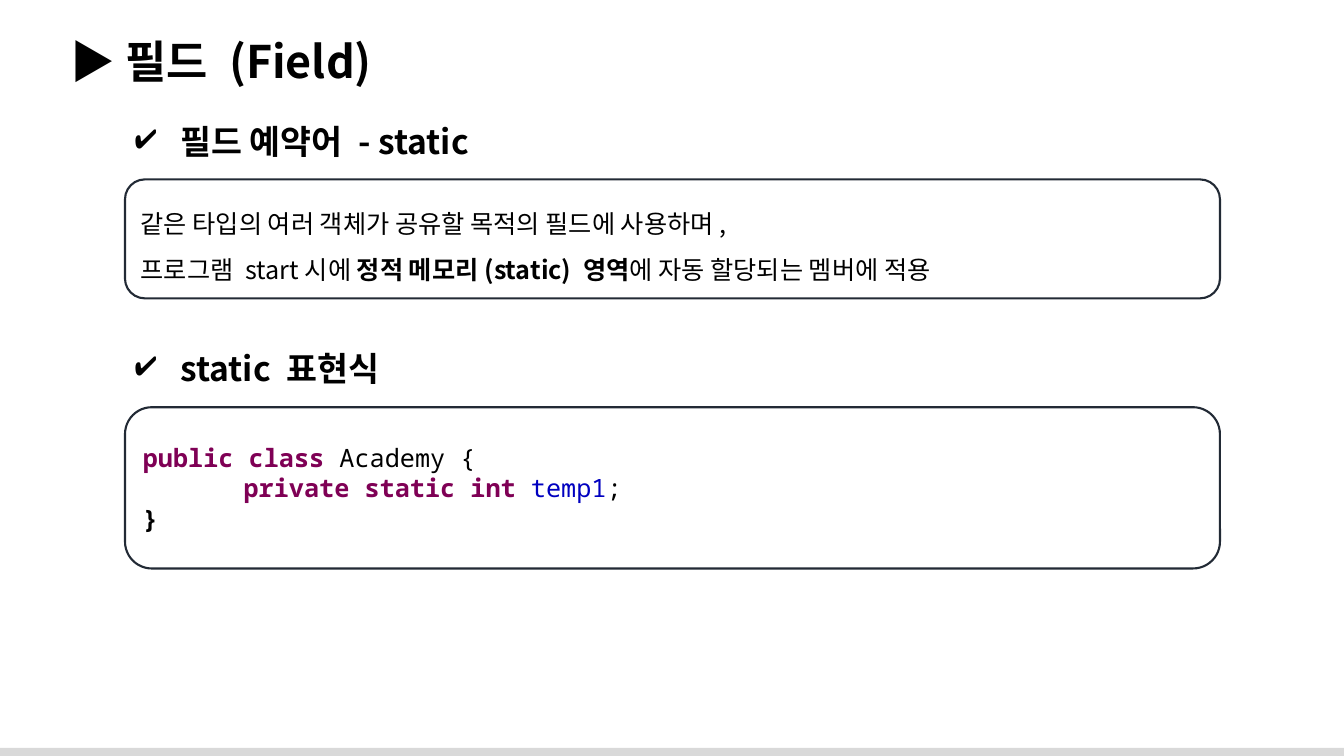
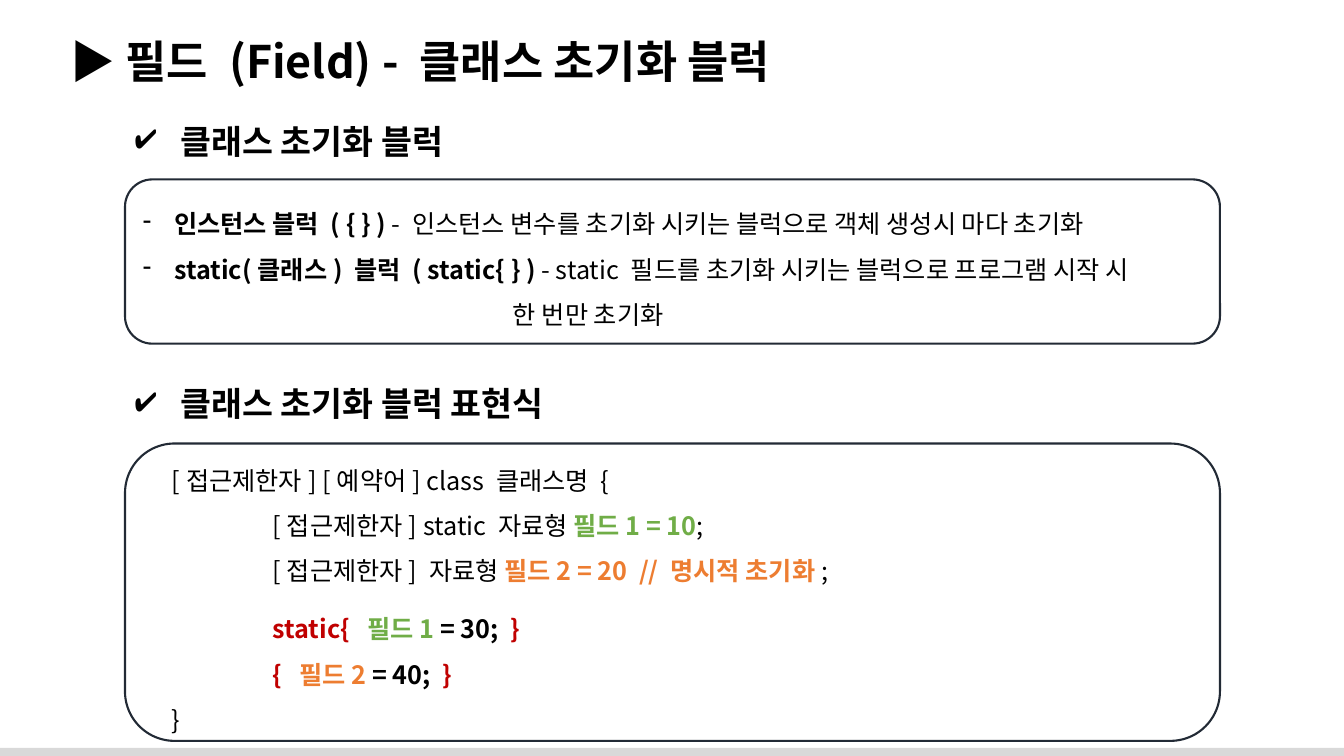
from lxml import etree
from pptx import Presentation
from pptx.dml.color import RGBColor
from pptx.enum.shapes import MSO_SHAPE
from pptx.enum.text import MSO_ANCHOR, MSO_AUTO_SIZE, PP_ALIGN
from pptx.oxml.ns import qn
from pptx.util import Inches, Pt

RECT, ROUND = MSO_SHAPE.RECTANGLE, MSO_SHAPE.ROUNDED_RECTANGLE
TOP, MIDDLE = MSO_ANCHOR.TOP, MSO_ANCHOR.MIDDLE
LEFT, NO_FIT = PP_ALIGN.LEFT, MSO_AUTO_SIZE.NONE

SANS, MONO = "Noto Sans CJK KR", "Noto Sans Mono"
BLACK, BORDER, BAND = "000000", "222A35", "D9D9D9"
KEYWORD, NAME = "7F0055", "0000C0"
GREEN, ORANGE, RED = "70AD47", "ED7D31", "C00000"
BOX_LEFT, BOX_WIDTH = 1.24, 10.86
HEAD_HEIGHT, HEAD_HANG, LIST_HANG = 0.5, 0.45, 0.31
CODE_OUTER, CODE_INNER, CODE_TAB = 0.22, 1.22, 1.0


def para(*runs, margin=0, bullet=None, before=0):
    return {"runs": runs, "margin": margin, "bullet": bullet, "before": before}


SLIDES = [
    {
        "title": "▶ 필드 (Field)",
        "sections": [
            {
                "head": "필드 예약어 - static", "head_top": 1.15,
                "top": 1.78, "height": 1.18, "font": SANS, "spacing": 1.5,
                "body": [
                    para(("같은 타입의 여러 객체가 공유할 목적의 필드에 사용하며,",)),
                    para(("프로그램 start시에 ",),
                         ("정적 메모리(static) 영역", BLACK, True),
                         ("에 자동 할당되는 멤버에 적용",)),
                ],
            },
            {
                "head": "static 표현식", "head_top": 3.4,
                "top": 4.04, "height": 1.6, "font": MONO, "spacing": 1.0,
                "body": [
                    para(("public class ", KEYWORD, True), ("Academy {",)),
                    para(("private static int ", KEYWORD, True),
                         ("temp1", NAME), (";",), margin=CODE_TAB),
                    para(("}", BLACK, True)),
                ],
            },
        ],
    },
    {
        "title": "▶ 필드 (Field) - 클래스 초기화 블럭",
        "sections": [
            {
                "head": "클래스 초기화 블럭", "head_top": 1.15,
                "top": 1.78, "height": 1.63, "font": SANS, "spacing": 1.5,
                "body": [
                    para(("인스턴스 블럭 ( { } ) ", BLACK, True),
                         ("- 인스턴스 변수를 초기화 시키는 블럭으로 객체 생성시 마다 초기화",),
                         margin=LIST_HANG, bullet="-"),
                    para(("static(클래스) 블럭 ( static{ } ) ", BLACK, True),
                         ("- static 필드를 초기화 시키는 블럭으로 프로그램 시작 시",),
                         margin=LIST_HANG, bullet="-"),
                    para(("한 번만 초기화",), margin=3.67),
                ],
            },
            {
                "head": "클래스 초기화 블럭 표현식", "head_top": 3.75,
                "top": 4.4, "height": 2.95, "font": SANS, "spacing": 1.5,
                "body": [
                    para(("[접근제한자] [예약어] class 클래스명 {",), margin=CODE_OUTER),
                    para(("[접근제한자] static 자료형 ",),
                         ("필드1 = 10", GREEN, True), (";",), margin=CODE_INNER),
                    para(("[접근제한자] 자료형 ",),
                         ("필드2 = 20  // 명시적 초기화", ORANGE, True), (";",),
                         margin=CODE_INNER),
                    para(("static{  ", RED, True), ("필드1", GREEN, True),
                         (" = 30;  ", BLACK, True), ("}", RED, True),
                         margin=CODE_INNER, before=9),
                    para(("{  ", RED, True), ("필드2 ", ORANGE, True),
                         ("= 40;  ", BLACK, True), ("}", RED, True),
                         margin=CODE_INNER),
                    para(("}",), margin=CODE_OUTER),
                ],
            },
        ],
    },
]


def rgb(color):
    return RGBColor.from_string(color)


def place(sp, left, top, width, height):
    sp.left, sp.top = Inches(left), Inches(top)
    sp.width, sp.height = Inches(width), Inches(height)


def add_run(p, font, size, text, color=BLACK, bold=False):
    r = p.add_run()
    r.text = text
    r.font.size, r.font.bold, r.font.name = Pt(size), bold, font
    r.font.color.rgb = rgb(color)
    etree.SubElement(r.font._element, qn("a:ea"), typeface=font)


def set_indent(p, margin, bullet):
    pPr = p._p.get_or_add_pPr()
    pPr.set("marL", str(Inches(margin)))
    pPr.set("indent", str(Inches(-margin if bullet else 0)))
    if bullet:
        color = etree.SubElement(pPr, qn("a:buClr"))
        etree.SubElement(color, qn("a:srgbClr"), val=BLACK)
        etree.SubElement(pPr, qn("a:buChar"), char=bullet)


def write(sp, paras, font, size, anchor, spacing=1.0):
    tf = sp.text_frame
    tf.word_wrap, tf.auto_size, tf.vertical_anchor = True, NO_FIT, anchor
    for i, item in enumerate(paras):
        p = tf.add_paragraph() if i else tf.paragraphs[0]
        p.alignment, p.line_spacing = LEFT, spacing
        p.space_before = Pt(item["before"])
        set_indent(p, item["margin"], item["bullet"])
        for run in item["runs"]:
            add_run(p, font, size, *run)


def add_section(s, section):
    box = s.shapes.add_shape(
        ROUND, Inches(BOX_LEFT), Inches(section["top"]),
        Inches(BOX_WIDTH), Inches(section["height"]))
    box.shadow.inherit = False
    box.fill.background()
    box.line.color.rgb = rgb(BORDER)
    box.line.width = Pt(1.5)
    write(box, section["body"], section["font"], 18, MIDDLE, section["spacing"])

    head = s.shapes.add_textbox(
        Inches(BOX_LEFT), Inches(section["head_top"]),
        Inches(BOX_WIDTH), Inches(HEAD_HEIGHT))
    line = para((section["head"], BLACK, True), margin=HEAD_HANG, bullet="✔")
    write(head, [line], SANS, 24, TOP)


def add_band(s, layout):
    band = s.shapes.add_shape(RECT, 0, Inches(7.42), Inches(13.33), Inches(0.08))
    band.shadow.inherit = False
    band.fill.solid()
    band.fill.fore_color.rgb = rgb(BAND)
    band.line.fill.background()
    layout.shapes.element.append(band.element)


def main():
    prs = Presentation()
    prs.slide_width, prs.slide_height = Inches(13.33), Inches(7.5)
    layout = prs.slide_layouts[5]
    place(layout.placeholders[0], 0.6, 0.28, 12.6, 0.64)
    for i, content in enumerate(SLIDES):
        s = prs.slides.add_slide(layout)
        if i == 0:
            add_band(s, layout)
        write(s.shapes.title, [para((content["title"], BLACK, True))], SANS, 32, TOP)
        for section in content["sections"]:
            add_section(s, section)
    prs.save("out.pptx")


if __name__ == "__main__":
    main()
